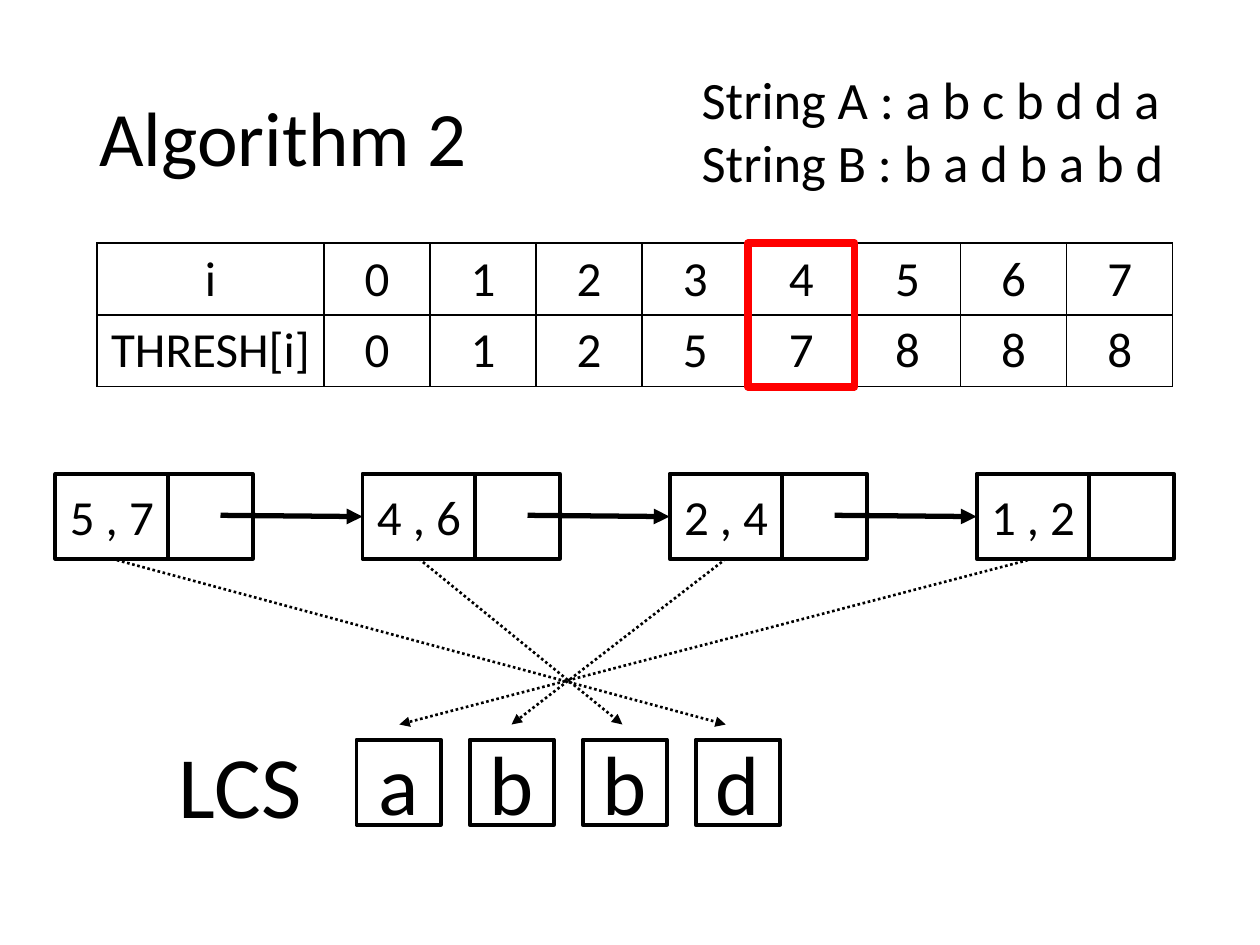
from typing import Any, NamedTuple

from lxml import etree
from pptx import Presentation
from pptx.dml.color import RGBColor
from pptx.enum.dml import MSO_LINE
from pptx.enum.shapes import MSO_CONNECTOR, MSO_SHAPE
from pptx.enum.text import MSO_ANCHOR, PP_ALIGN
from pptx.oxml.ns import qn
from pptx.util import Emu, Inches, Pt

RECT = MSO_SHAPE.RECTANGLE
STRAIGHT = MSO_CONNECTOR.STRAIGHT
SOLID, DOT = MSO_LINE.SOLID, MSO_LINE.ROUND_DOT
LEFT, CENTER = PP_ALIGN.LEFT, PP_ALIGN.CENTER
TOP, MIDDLE = MSO_ANCHOR.TOP, MSO_ANCHOR.MIDDLE

COLS, ROWS = 100, 75
UNIT = Inches(10) // COLS
COLORS = {"ink": "000000", "mark": "FF0000"}
FONT = "Calibri"


class Box(NamedTuple):
    x: float
    y: float
    w: float
    h: float


class Node(NamedTuple):
    pair: str
    tip: float


class Label(NamedTuple):
    box: Box
    lines: list[str]
    size: float
    anchor: Any = TOP
    wrap: bool = False
    lead: float = 1.0


NODES = [Node("5 , 7", 57.6), Node("4 , 6", 49.4), Node("2 , 4", 40.6), Node("1 , 2", 31.7)]
FIRST = Box(4.4, 37.6, 8.95, 6.75)
NEXT_W, NODE_GAP = 6.7, 24.37
LETTER = Box(28.3, 58.7, 6.7, 6.75)
LETTER_GAP = 8.97
TIP_Y = 57.5

GRID = [["i", *"01234567"], ["THRESH[i]", *"01257888"]]
TABLE = Box(7.7, 19.3, 85.4, 11.4)
HEAD_W = 18
CELL_W = (TABLE.w - HEAD_W) / 8
MARK_COL = 4

LABELS = [
    Label(Box(54.7, 4.8, 39.9, 11.1),
          ["String A : a b c b d d a", "String B : b a d b a b d"], 30),
    Label(Box(6.9, 4, 86.2, 14.5), ["Algorithm 2"], 44, MIDDLE, True, 0.9),
    Label(Box(13.2, 57.5, 12.8, 9.4), ["LCS"], 50),
]


def span(n: float) -> Emu:
    return Emu(round(n * UNIT))


def place(box: Box) -> list[Emu]:
    return [span(n) for n in box]


def tint(name: str) -> RGBColor:
    return RGBColor.from_string(COLORS[name])


def style(item: Any, values: dict[str, Any]) -> None:
    for name, value in values.items():
        setattr(item, name, value)


def write(frame: Any, lines: list[str], size: float, align: Any, lead: float = 1.0) -> None:
    frame.text = "\n".join(lines)
    for para in frame.paragraphs:
        style(para, {"alignment": align, "line_spacing": lead})
        for run in para.runs:
            style(run.font, {"name": FONT, "size": Pt(size), "bold": False})
            run.font.color.rgb = tint("ink")


def draw_label(shapes: Any, label: Label) -> None:
    frame = shapes.add_textbox(*place(label.box)).text_frame
    style(frame, {"word_wrap": label.wrap, "vertical_anchor": label.anchor})
    write(frame, label.lines, label.size, LEFT, label.lead)


def draw_box(shapes: Any, box: Box, text: str = "", size: float = 28,
             color: str = "ink", width: float = 2.25) -> None:
    shape = shapes.add_shape(RECT, *place(box))
    shape.shadow.inherit = False
    shape.fill.background()
    shape.line.color.rgb = tint(color)
    shape.line.width = Pt(width)
    if text:
        style(shape.text_frame, {"word_wrap": False, "vertical_anchor": MIDDLE})
        write(shape.text_frame, [text], size, CENTER)


def draw_arrow(shapes: Any, x1: float, y1: float, x2: float, y2: float,
               width: float, dash: Any) -> None:
    arrow = shapes.add_connector(STRAIGHT, *map(span, (x1, y1, x2, y2)))
    arrow.line.color.rgb = tint("ink")
    style(arrow.line, {"width": Pt(width), "dash_style": dash})
    etree.SubElement(arrow.line._get_or_add_ln(), qn("a:tailEnd"), type="triangle")
    etree.SubElement(arrow._element.spPr, qn("a:effectLst"))


def edge_cell(cell: Any) -> None:
    props = cell._tc.get_or_add_tcPr()
    for i, side in enumerate(("lnL", "lnR", "lnT", "lnB")):
        line = etree.Element(qn(f"a:{side}"), w=str(Pt(1)))
        fill = etree.SubElement(line, qn("a:solidFill"))
        etree.SubElement(fill, qn("a:srgbClr"), val=COLORS["ink"])
        props.insert(i, line)


def draw_table(shapes: Any) -> None:
    table = shapes.add_table(len(GRID), len(GRID[0]), *place(TABLE)).table
    style(table, {"first_row": False, "horz_banding": False})
    for c, col in enumerate(table.columns):
        col.width = span(CELL_W if c else HEAD_W)
    for r, row in enumerate(GRID):
        table.rows[r].height = span(TABLE.h / len(GRID))
        for c, text in enumerate(row):
            cell = table.cell(r, c)
            cell.fill.background()
            write(cell.text_frame, [text], 28, CENTER)
            edge_cell(cell)


def draw_list(shapes: Any) -> None:
    for i, node in enumerate(NODES):
        box = FIRST._replace(x=FIRST.x + i * NODE_GAP)
        draw_box(shapes, box, node.pair)
        draw_box(shapes, box._replace(x=box.x + box.w, w=NEXT_W))
        if i < len(NODES) - 1:
            draw_arrow(shapes, box.x + 13.1, 40.9, box.x + NODE_GAP, 41, 3, SOLID)
        draw_arrow(shapes, box.x + box.w / 2, box.y + box.h, node.tip, TIP_Y, 1.5, DOT)


def main() -> None:
    deck = Presentation()
    style(deck, {"slide_width": span(COLS), "slide_height": span(ROWS)})
    shapes = deck.slides.add_slide(deck.slide_layouts[6]).shapes
    for label in LABELS:
        draw_label(shapes, label)
    draw_table(shapes)
    mark = TABLE._replace(x=TABLE.x + HEAD_W + MARK_COL * CELL_W, w=CELL_W)
    draw_box(shapes, mark, color="mark", width=4.5)
    draw_list(shapes)
    for i, text in enumerate("abbd"):
        draw_box(shapes, LETTER._replace(x=LETTER.x + i * LETTER_GAP), text, 48)
    deck.save("out.pptx")


if __name__ == "__main__":
    main()
